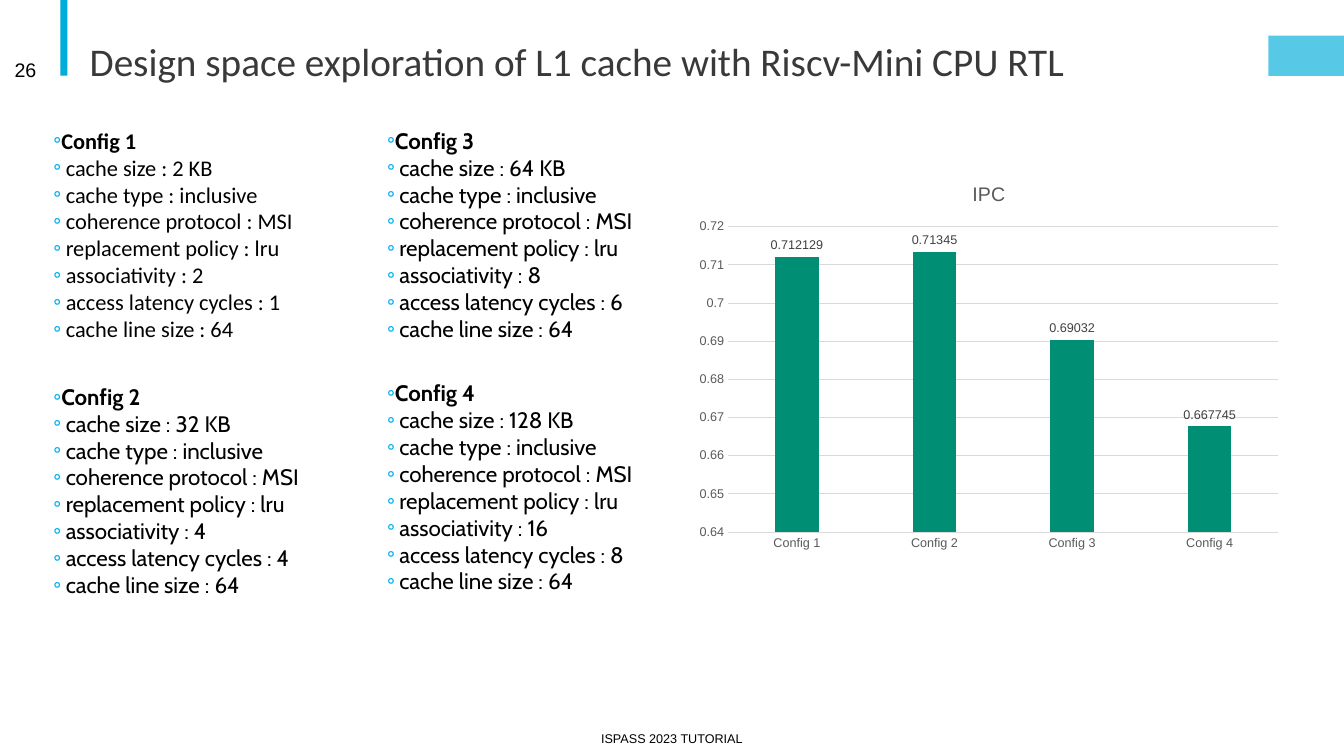
from lxml.etree import SubElement
from pptx import Presentation
from pptx.chart.data import CategoryChartData
from pptx.dml.color import RGBColor
from pptx.enum.chart import XL_CHART_TYPE as ChartType, XL_LABEL_POSITION as LabelPosition
from pptx.enum.chart import XL_TICK_MARK as TickMark
from pptx.enum.shapes import MSO_SHAPE as Preset
from pptx.enum.text import MSO_ANCHOR as Anchor, PP_ALIGN as Align
from pptx.oxml.ns import qn
from pptx.util import Pt

COLORS = {
    "accent": "00ACD9", "title": "3A3838", "text": "000000", "bullet": "00B0F0",
    "bar": "008E74", "grid": "D9D9D9", "axis": "595959", "label": "404040",
}
CONFIGS = [
    ("Config 1", "2 KB", 2, 1, 0.712129, "Calibri", 38.2, 87.1),
    ("Config 2", "32 KB", 4, 4, 0.71345, "Cabin", 38.2, 270),
    ("Config 3", "64 KB", 8, 6, 0.69032, "Cabin", 276.5, 87.1),
    ("Config 4", "128 KB", 16, 8, 0.667745, "Cabin", 276.5, 267.5),
]


def rgb(name):
    return RGBColor.from_string(COLORS[name])


def style_font(font, size, color, face="Arial", bold=False):
    font.size, font.bold, font.name = Pt(size), bold, face
    font.color.rgb = rgb(color)


def write(paragraph, text, size=16, color="text", face="Arial", bold=False,
          align=Align.LEFT, spacing=1.0, bullet=None, indent=0):
    paragraph.alignment = align
    paragraph.line_spacing = spacing
    if bullet:
        props = paragraph._p.get_or_add_pPr()
        props.set("marL", str(Pt(indent)))
        props.set("indent", str(-Pt(indent)))
        SubElement(SubElement(props, qn("a:buClr")), qn("a:srgbClr"), val=COLORS["bullet"])
        SubElement(props, qn("a:buFont"), typeface="Calibri")
        SubElement(props, qn("a:buChar"), char=bullet)
    run = paragraph.add_run()
    run.text = text
    style_font(run.font, size, color, face, bold)


class SlideBuilder:
    def __init__(self, deck):
        self.slide = deck.slides.add_slide(deck.slide_layouts[5])
        self.shapes = self.slide.shapes

    def frame(self, box, anchor=Anchor.TOP, inset=7.2):
        frame = box.text_frame
        frame.word_wrap = True
        frame.vertical_anchor = anchor
        frame.margin_left = frame.margin_right = Pt(inset)
        frame.margin_top = frame.margin_bottom = Pt(3.6)
        return frame

    def title(self, text, left, top, width, height):
        heading = self.shapes.title
        heading.left, heading.top, heading.width, heading.height = map(Pt, (left, top, width, height))
        frame = self.frame(heading, Anchor.BOTTOM)
        write(frame.paragraphs[0], text, size=28, color="title", face="Calibri", spacing=0.85)

    def band(self, left, top, width, height, opacity=100):
        band = self.shapes.add_shape(Preset.RECTANGLE, *map(Pt, (left, top, width, height)))
        band.shadow.inherit = False
        band.fill.solid()
        band.fill.fore_color.rgb = rgb("accent")
        band.line.fill.background()
        if opacity < 100:
            accent = band.fill._xPr.find(".//" + qn("a:srgbClr"))
            SubElement(accent, qn("a:alpha"), val=str(opacity * 1000))

    def label(self, text, left, top, width, height, **style):
        box = self.shapes.add_textbox(*map(Pt, (left, top, width, height)))
        write(self.frame(box, Anchor.MIDDLE).paragraphs[0], text, **style)

    def bullets(self, heading, items, left, top, width, height, face):
        box = self.shapes.add_textbox(*map(Pt, (left, top, width, height)))
        frame = self.frame(box, inset=0)
        write(frame.paragraphs[0], heading, face=face, bold=True, bullet="◦", indent=5.2)
        for item in items:
            write(frame.add_paragraph(), item, face=face, bullet="◦", indent=8.8)

    def column_chart(self, name, categories, values, left, top, width, height):
        data = CategoryChartData()
        data.categories = categories
        data.add_series(name, values)
        chart = self.shapes.add_chart(
            ChartType.COLUMN_CLUSTERED, *map(Pt, (left, top, width, height)), data).chart
        style_font(chart.font, 10, "text")
        chart.has_legend = False
        chart.has_title = True
        write(chart.chart_title.text_frame.paragraphs[0], name, size=14,
              color="axis", align=Align.CENTER)
        chart.chart_title.include_in_layout = False

        for axis in (chart.category_axis, chart.value_axis):
            axis.major_tick_mark = axis.minor_tick_mark = TickMark.NONE
            style_font(axis.tick_labels.font, 9, "axis")
        ipc_axis = chart.value_axis
        ipc_axis.minimum_scale, ipc_axis.maximum_scale, ipc_axis.major_unit = 0.64, 0.72, 0.01
        ipc_axis.format.line.fill.background()
        for line in (chart.category_axis.format.line, ipc_axis.major_gridlines.format.line):
            line.color.rgb = rgb("grid")
            line.width = Pt(0.75)

        plot = chart.plots[0]
        plot.gap_width, plot.overlap, plot.vary_by_categories = 219, -27, False
        bars = plot.series[0]
        bars.format.fill.solid()
        bars.format.fill.fore_color.rgb = rgb("bar")
        values_shown = bars.data_labels
        values_shown.show_value = True
        values_shown.position = LabelPosition.OUTSIDE_END
        style_font(values_shown.font, 9, "label")


def main():
    deck = Presentation()
    deck.slide_width, deck.slide_height = Pt(960), Pt(540)
    page = SlideBuilder(deck)
    page.band(43.2, 0, 5, 54)
    page.band(906, 25.5, 54, 28.8, opacity=66)
    page.title("Design space exploration of L1 cache with Riscv-Mini CPU RTL", 56.9, 19.2, 792, 44.6)
    page.label("26", 0, 35.3, 33.1, 28.8, size=14, align=Align.RIGHT)
    page.column_chart("IPC", [config[0] for config in CONFIGS], [config[4] for config in CONFIGS],
                      491.2, 117.5, 430.6, 281.5)
    for name, size, ways, latency, _, face, left, top in CONFIGS:
        settings = [
            f"cache size : {size}",
            "cache type : inclusive",
            "coherence protocol : MSI",
            "replacement policy : lru",
            f"associativity : {ways}",
            f"access latency cycles : {latency}",
            "cache line size : 64",
        ]
        page.bullets(name, settings, left, top, 254.2, 166.3, face)
    page.label("ISPASS 2023 TUTORIAL", 290.2, 513.4, 379.4, 28.8, size=9, align=Align.CENTER)
    deck.save("out.pptx")


if __name__ == "__main__":
    main()
